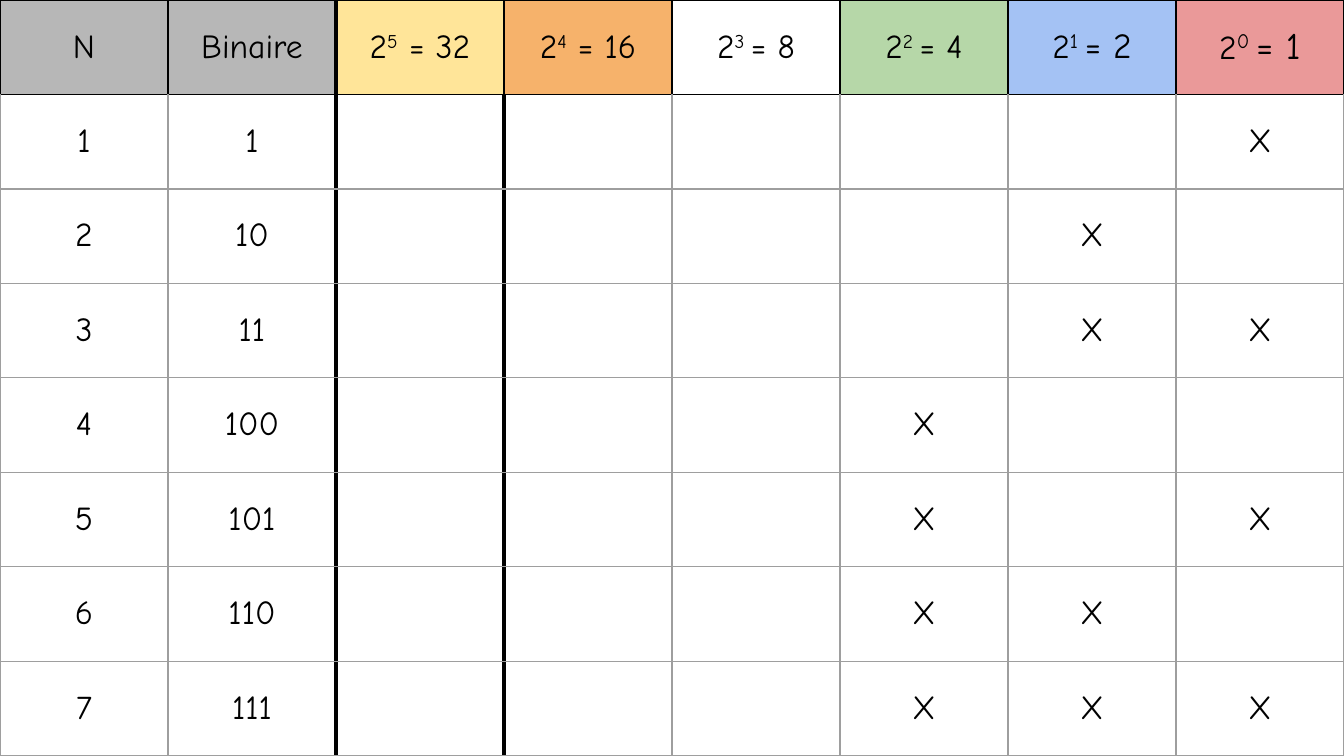
import pptx
import pptx.dml.color
import pptx.enum.text
import pptx.oxml
import pptx.oxml.ns
import pptx.util
from pptx.dml.color import RGBColor
from pptx.util import Inches

BLACK = RGBColor(0x00, 0x00, 0x00)
WHITE = RGBColor(0xFF, 0xFF, 0xFF)
DARK_GRAY = RGBColor(0x9E, 0x9E, 0x9E)
GRAY = RGBColor(0xB7, 0xB7, 0xB7)
YELLOW = RGBColor(0xFF, 0xE5, 0x99)
ORANGE = RGBColor(0xF6, 0xB2, 0x6B)
GREEN = RGBColor(0xB6, 0xD7, 0xA8)
BLUE = RGBColor(0xA4, 0xC2, 0xF4)
RED = RGBColor(0xEA, 0x99, 0x99)

FONT = "Comic Neue"
SIZE = 18
COLS = ROWS = 8
HIGH_BIT = 5
THICK, THIN = 3, 0.75

HEADERS = [
    (GRAY, [("N", SIZE)]),
    (GRAY, [("Binaire", SIZE)]),
    (YELLOW, [("2", SIZE), ("5", SIZE), (" = 32", SIZE)]),
    (ORANGE, [("2", SIZE), ("4", SIZE), (" = 16", SIZE)]),
    (WHITE, [("2", SIZE), ("3 ", SIZE), ("= 8", SIZE)]),
    (GREEN, [("2", SIZE), ("2 ", SIZE), ("= 4", SIZE)]),
    (BLUE, [("2", SIZE), ("1 ", 19), ("= 2", 19)]),
    (RED, [("2", SIZE), ("0 ", 19), ("= 1", 20)]),
]


def write_cell(cell, runs):
    """Write centred runs in a cell, raising the second one as an exponent."""
    p = cell.text_frame.paragraphs[0]
    p.alignment = pptx.enum.text.PP_ALIGN.CENTER
    for i, (text, size) in enumerate(runs):
        r = p.add_run()
        r.text = text
        for name, value in {"name": FONT, "size": pptx.util.Pt(size)}.items():
            setattr(r.font, name, value)
        r.font.color.rgb = BLACK
        if i == 1:
            r.font._element.set("baseline", "30000")


def add_border(cell, side, color, width):
    """Add a solid line to one side of a cell."""
    ln = pptx.oxml.parse_xml(
        f'<a:ln{side} {pptx.oxml.ns.nsdecls("a")} w="{pptx.util.Pt(width)}">'
        f'<a:solidFill><a:srgbClr val="{color}"/></a:solidFill></a:ln{side}>'
    )
    cell._tc.get_or_add_tcPr().append(ln)


def vertical_line(row, edge):
    """Return the colour and width of the line at a column edge."""
    if edge == 2 or (edge == 3 and row > 0):
        return BLACK, THICK
    return (DARK_GRAY if row else BLACK), THIN


def horizontal_line(edge):
    """Return the colour and width of the line at a row edge."""
    return (BLACK if edge < 2 else DARK_GRAY), THIN


def format_cell(cell, row, col):
    """Set the margins, anchor and borders of a cell."""
    formats = {f"margin_{side}": Inches(0.1) for side in ("left", "right", "top", "bottom")}
    formats["vertical_anchor"] = pptx.enum.text.MSO_ANCHOR.MIDDLE
    for name, value in formats.items():
        setattr(cell, name, value)
    add_border(cell, "L", *vertical_line(row, col))
    add_border(cell, "R", *vertical_line(row, col + 1))
    add_border(cell, "T", *horizontal_line(row))
    add_border(cell, "B", *horizontal_line(row + 1))


def number_row(n):
    """Return the texts of a number, its binary form and its powers of two."""
    bits = ["X" if n >> bit & 1 else "" for bit in range(HIGH_BIT, -1, -1)]
    return [str(n), format(n, "b"), *bits]


def add_binary_table(s, width, height):
    """Add the table of numbers split into powers of two."""
    table = s.shapes.add_table(ROWS, COLS, 0, 0, width, height).table
    for name in ("first_row", "horz_banding"):
        setattr(table, name, False)
    for row in range(ROWS):
        texts = number_row(row)
        for col, (color, header) in enumerate(HEADERS):
            cell = table.cell(row, col)
            format_cell(cell, row, col)
            if row == 0:
                cell.fill.solid()
                cell.fill.fore_color.rgb = color
                write_cell(cell, header)
            else:
                cell.fill.background()
                if texts[col]:
                    write_cell(cell, [(texts[col], SIZE)])


def main():
    """Build the slide and save it."""
    prs = pptx.Presentation()
    prs.slide_width = Inches(10)
    prs.slide_height = prs.slide_width * 9 // 16
    s = prs.slides.add_slide(prs.slide_layouts[6])
    add_binary_table(s, prs.slide_width, prs.slide_height)
    prs.save("out.pptx")


if __name__ == "__main__":
    main()
